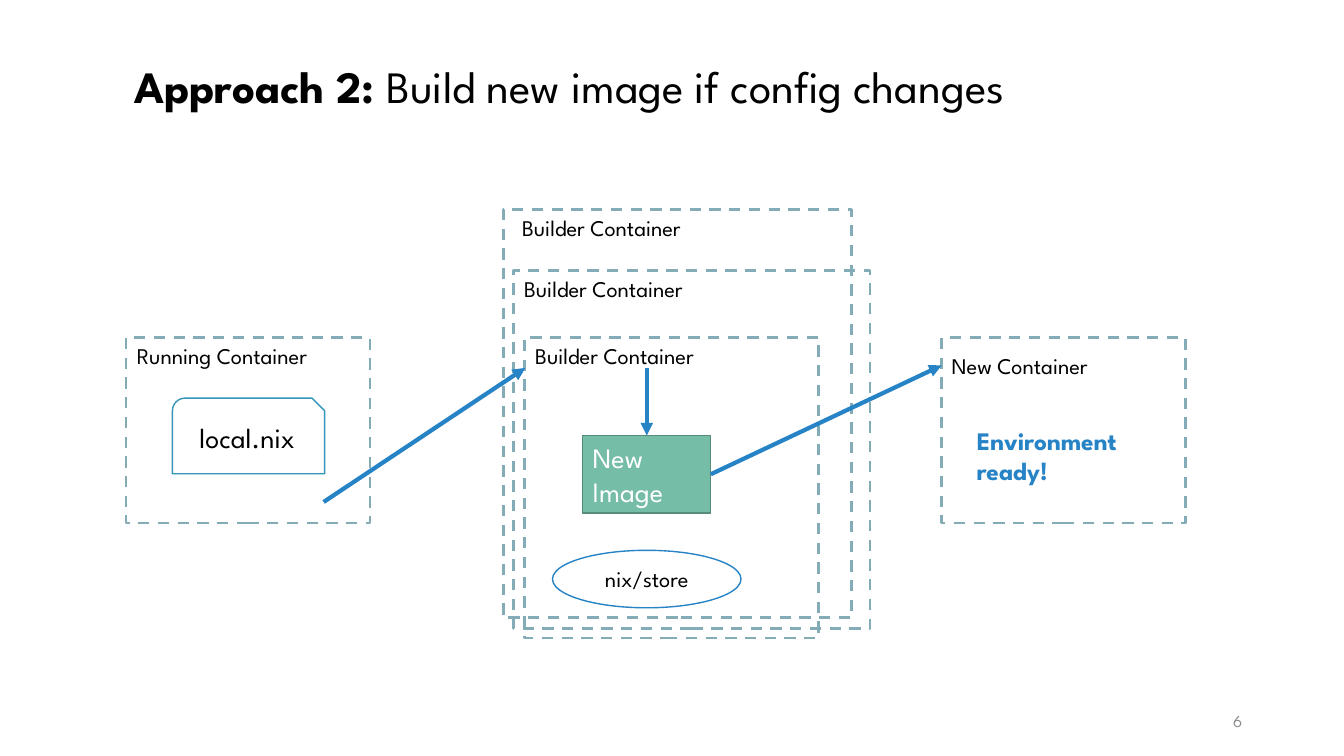
"""Build the slide on building a new container image when the config changes."""
from dataclasses import dataclass
from typing import NamedTuple, Optional

from pptx import Presentation
from pptx.dml.color import RGBColor
from pptx.enum.dml import MSO_LINE
from pptx.enum.shapes import MSO_CONNECTOR, MSO_SHAPE as Preset
from pptx.enum.text import MSO_ANCHOR as Anchor, MSO_AUTO_SIZE, PP_ALIGN as Align
from pptx.oxml.ns import qn
from pptx.util import Inches, Pt
from lxml.etree import SubElement

CELL = Inches(0.1)
TOP, LEFT, RIGHT = 0, 1, 3


@dataclass(frozen=True)
class Theme:
    """Colours, font and type sizes of the slide."""
    font: str = "League Spartan"
    ink: str = "000000"
    paper: str = "FFFFFF"
    frame: str = "84ACB6"
    file: str = "3494BA"
    accent: str = "2683C6"
    image: str = "75BDA7"
    image_edge: str = "578C7C"
    muted: str = "8C8C8C"
    title: int = 32
    large: int = 20
    ready: int = 18
    label: int = 16
    page: int = 12


THEME = Theme()


class Area(NamedTuple):
    """Left, top, width and height in grid columns and rows."""
    column: float
    row: float
    columns: float
    rows: float

    def lengths(self) -> list:
        """Return the area in slide units."""
        return [round(value * CELL) for value in self]


class Point(NamedTuple):
    """A spot on the grid."""
    column: float
    row: float


@dataclass(frozen=True)
class Words:
    """A text with its look."""
    text: str
    size: int = THEME.label
    color: str = THEME.ink
    bold: bool = False
    align: Align = Align.LEFT
    anchor: Anchor = Anchor.TOP


@dataclass(frozen=True)
class Container:
    """A dashed frame with a label."""
    frame: Area
    label: Area
    name: str


@dataclass(frozen=True)
class Node:
    """A filled shape with a text."""
    preset: Preset
    area: Area
    fill: str
    edge: str
    words: Words


CONTAINERS = {
    "running": Container(Area(12.5, 33.5, 24.2, 18.4), Area(12.6, 33.5, 24.2, 3.7), "Running Container"),
    "new": Container(Area(93.4, 33.5, 24.2, 18.4), Area(93.4, 34.4, 24.2, 3.7), "New Container"),
    "back": Container(Area(49.9, 20.8, 34.6, 40.5), Area(50.8, 20.8, 34.5, 8.1), "Builder Container"),
    "middle": Container(Area(50.9, 26.8, 35.4, 35.6), Area(51, 26.8, 35.3, 7.2), "Builder Container"),
    "front": Container(Area(52, 33.5, 29.2, 29.8), Area(52.1, 33.5, 29.1, 6), "Builder Container"),
}
NODES = {
    "config": Node(Preset.SNIP_ROUND_RECTANGLE, Area(17.1, 39.5, 15.1, 7.5), THEME.paper, THEME.file,
                   Words("local.nix", THEME.large, align=Align.CENTER, anchor=Anchor.MIDDLE)),
    "store": Node(Preset.OVAL, Area(54.8, 54.6, 18.7, 5.7), THEME.paper, THEME.accent,
                  Words("nix/store", align=Align.CENTER, anchor=Anchor.MIDDLE)),
    "image": Node(Preset.RECTANGLE, Area(57.8, 43.2, 12.7, 7.7), THEME.image, THEME.image_edge,
                  Words("New Image", THEME.large, THEME.paper)),
}
NOTES = [
    (Area(95.9, 41.7, 21.3, 7.1), Words("Environment ready!", THEME.ready, THEME.accent, bold=True)),
    (Area(94.2, 69.5, 30, 4), Words("6", THEME.page, THEME.muted, align=Align.RIGHT, anchor=Anchor.MIDDLE)),
]


def rgb(color: str) -> RGBColor:
    """Turn a hex code into a colour."""
    return RGBColor.from_string(color)


def write(shape, words: Words) -> None:
    """Set and format the text of a shape."""
    frame = shape.text_frame
    frame.text = words.text
    frame.word_wrap = True
    frame.auto_size = MSO_AUTO_SIZE.NONE
    frame.vertical_anchor = words.anchor
    paragraph = frame.paragraphs[0]
    paragraph.alignment = words.align
    font = paragraph.runs[0].font
    font.name, font.size, font.bold = THEME.font, Pt(words.size), words.bold
    font.color.rgb = rgb(words.color)


def add_words(slide, area: Area, words: Words):
    """Add a text box."""
    box = slide.shapes.add_textbox(*area.lengths())
    write(box, words)
    return box


def add_outline(slide, preset: Preset, area: Area, edge: str, width: float):
    """Add an unfilled preset shape."""
    shape = slide.shapes.add_shape(preset, *area.lengths())
    shape.shadow.inherit = False
    shape.fill.background()
    shape.line.color.rgb = rgb(edge)
    shape.line.width = Pt(width)
    return shape


def add_container(slide, container: Container):
    """Add a dashed frame and return its label."""
    frame = add_outline(slide, Preset.RECTANGLE, container.frame, THEME.frame, 2)
    frame.line.dash_style = MSO_LINE.DASH
    return add_words(slide, container.label, Words(container.name))


def add_node(slide, node: Node):
    """Add a filled shape with its text."""
    shape = add_outline(slide, node.preset, node.area, node.edge, 1)
    shape.fill.solid()
    shape.fill.fore_color.rgb = rgb(node.fill)
    write(shape, node.words)
    return shape


def add_arrow(slide, start: Point, target, side: int, source: Optional[object] = None) -> None:
    """Add an arrow joined to its target and, if given, to the right of its source."""
    x, y = (round(value * CELL) for value in start)
    arrow = slide.shapes.add_connector(MSO_CONNECTOR.STRAIGHT, x, y, x, y)
    if source is not None:
        arrow.begin_connect(source, RIGHT)
    arrow.end_connect(target, side)
    arrow.line.color.rgb = rgb(THEME.accent)
    arrow.line.width = Pt(3)
    SubElement(arrow.line._get_or_add_ln(), qn("a:tailEnd"), type="triangle")
    SubElement(arrow._element.spPr, qn("a:effectLst"))


def add_title(slide, area: Area, lead: str, rest: str) -> None:
    """Fill the title placeholder with a bold lead and a regular rest."""
    title = slide.shapes.title
    title.left, title.top, title.width, title.height = area.lengths()
    write(title, Words(lead, THEME.title, bold=True, anchor=Anchor.MIDDLE))
    paragraph = title.text_frame.paragraphs[0]
    paragraph.line_spacing = 0.9
    run = paragraph.add_run()
    run.text = rest
    run.font.name, run.font.size, run.font.bold = THEME.font, Pt(THEME.title), False
    run.font.color.rgb = rgb(THEME.ink)


def main() -> None:
    """Build and save the slide."""
    deck = Presentation()
    deck.slide_width, deck.slide_height = Inches(13.33), Inches(7.5)
    slide = deck.slides.add_slide(deck.slide_layouts[5])
    add_title(slide, Area(12.3, 4, 104.6, 9.6), "Approach 2: ", "Build new image if config changes")
    labels = {key: add_container(slide, container) for key, container in CONTAINERS.items()}
    nodes = {key: add_node(slide, node) for key, node in NODES.items()}
    for area, words in NOTES:
        add_words(slide, area, words)
    add_arrow(slide, Point(32.1, 49.8), labels["front"], LEFT)
    add_arrow(slide, Point(64.15, 36.5), nodes["image"], TOP)
    add_arrow(slide, Point(70.5, 47.05), labels["new"], LEFT, nodes["image"])
    deck.save("out.pptx")


if __name__ == "__main__":
    main()
